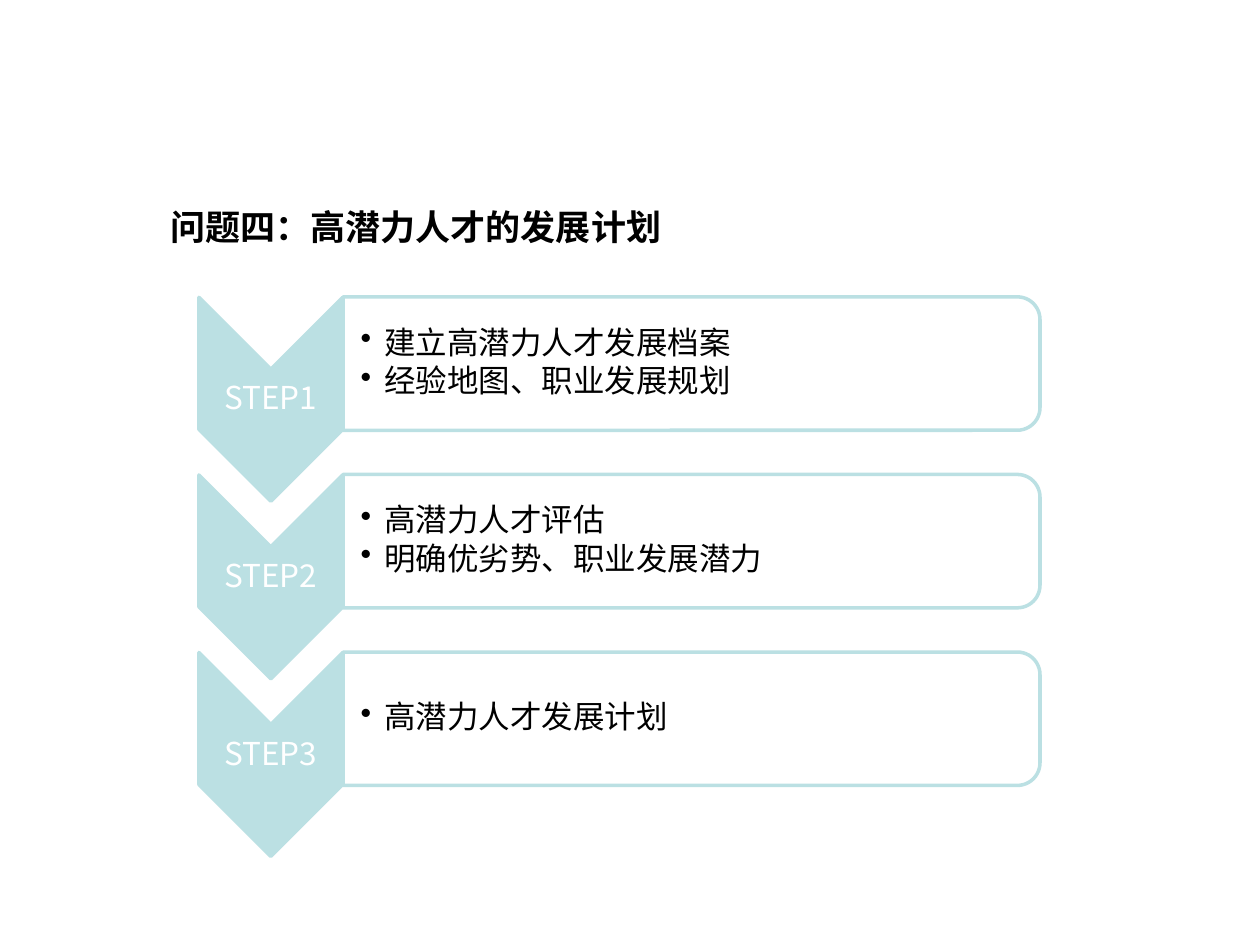
from pptx import Presentation
from pptx.dml.color import RGBColor
from pptx.enum import shapes, text
from pptx.oxml.ns import qn
from pptx.util import Cm, Pt
from lxml import etree

TITLE = "问题四：高潜力人才的发展计划"
STEPS = [
    ("STEP1", ["建立高潜力人才发展档案", "经验地图、职业发展规划"]),
    ("STEP2", ["高潜力人才评估", "明确优劣势、职业发展潜力"]),
    ("STEP3", ["高潜力人才发展计划"]),
]
COLORS = {"accent": "BBE0E3", "white": "FFFFFF", "black": "000000"}
FONT = "Noto Sans CJK SC"
PITCH = 3.58
CHEVRON = {"center_x": 5.46, "center_y": 8.05, "width": 4.11, "height": 2.9}
PANEL = {"center_x": 13.94, "center_y": 7.33, "width": 2.69, "height": 14.05}
LABEL_BOX = (4.01, 7.44, 2.9, 1.24)
LIST_BOX = (6.91, 6.12, 13.92, 2.41)
LABEL_FORMAT = {"alignment": text.PP_ALIGN.CENTER, "line_spacing": 0.9, "space_after": Pt(6.3)}
LIST_FORMAT = {"alignment": text.PP_ALIGN.LEFT, "line_spacing": 0.9, "space_after": Pt(2.7)}


def set_all(target, values):
    """Set every attribute in values on the target."""
    for name, value in values.items():
        setattr(target, name, value)


def write(paragraph, words, size, color, bold=False):
    """Add a formatted run to the paragraph."""
    run = paragraph.add_run()
    run.text = words
    set_all(run.font, {"name": FONT, "size": Pt(size), "bold": bold})
    run.font.color.rgb = RGBColor.from_string(COLORS[color])
    etree.SubElement(run.font._element, qn("a:ea"), typeface=FONT)


def add_turned_shape(slide, kind, place, offset, fill, adjustments):
    """Add an outlined shape turned a quarter clockwise about its centre."""
    width, height = place["width"], place["height"]
    left = place["center_x"] - width / 2
    top = place["center_y"] + offset - height / 2
    shape = slide.shapes.add_shape(kind, Cm(left), Cm(top), Cm(width), Cm(height))
    shape.rotation = 90
    shape.shadow.inherit = False
    shape.fill.solid()
    shape.fill.fore_color.rgb = RGBColor.from_string(COLORS[fill])
    shape.line.color.rgb = RGBColor.from_string(COLORS["accent"])
    shape.line.width = Pt(2)
    for index, value in enumerate(adjustments):
        shape.adjustments[index] = value
    return shape


def add_text(slide, box, offset, lines, color, paragraph_format, inset, bulleted=False):
    """Add a vertically centred text box with one paragraph per line."""
    left, top, width, height = box
    frame = slide.shapes.add_textbox(Cm(left), Cm(top + offset), Cm(width), Cm(height)).text_frame
    set_all(frame, {
        "word_wrap": True, "vertical_anchor": text.MSO_ANCHOR.MIDDLE,
        "margin_left": Cm(inset), "margin_right": Cm(0.03),
        "margin_top": Cm(0.03), "margin_bottom": Cm(0.03),
    })
    for index, words in enumerate(lines):
        paragraph = frame.add_paragraph() if index else frame.paragraphs[0]
        if bulleted:
            properties = paragraph._p.get_or_add_pPr()
            properties.set("lvl", "1")
            properties.set("marL", str(Cm(0.48)))
            properties.set("indent", str(Cm(-0.48)))
            etree.SubElement(properties, qn("a:buChar"), char="•")
        set_all(paragraph, paragraph_format)
        write(paragraph, words, 18, color)


def add_step(slide, offset, label, items):
    """Add one chevron with its label, panel and list."""
    add_turned_shape(slide, shapes.MSO_SHAPE.CHEVRON, CHEVRON, offset, "accent", [0.5])
    add_text(slide, LABEL_BOX, offset, [label], "white", LABEL_FORMAT, 0.03)
    panel = add_turned_shape(slide, shapes.MSO_SHAPE.ROUND_2_SAME_RECTANGLE, PANEL, offset,
                             "white", [0.17, 0])
    color = panel._element.spPr.find(qn("a:solidFill")).find(qn("a:srgbClr"))
    etree.SubElement(color, qn("a:alpha"), val="90000")
    add_text(slide, LIST_BOX, offset, items, "black", LIST_FORMAT, 0.36, bulleted=True)


def main():
    """Build and save the slide."""
    presentation = Presentation()
    set_all(presentation, {"slide_width": Cm(25.4), "slide_height": Cm(19.05)})
    slide = presentation.slides.add_slide(presentation.slide_layouts[5])
    title = slide.shapes.title
    set_all(title, {"left": Cm(3.18), "top": Cm(4.01), "width": Cm(16.31), "height": Cm(1.96)})
    set_all(title.text_frame, {"word_wrap": True, "vertical_anchor": text.MSO_ANCHOR.TOP,
                               "auto_size": text.MSO_AUTO_SIZE.NONE})
    heading = title.text_frame.paragraphs[0]
    heading.alignment = text.PP_ALIGN.LEFT
    write(heading, TITLE, 20, "black", bold=True)
    for index, (label, items) in enumerate(STEPS):
        add_step(slide, index * PITCH, label, items)
    presentation.save("out.pptx")


if __name__ == "__main__":
    main()
